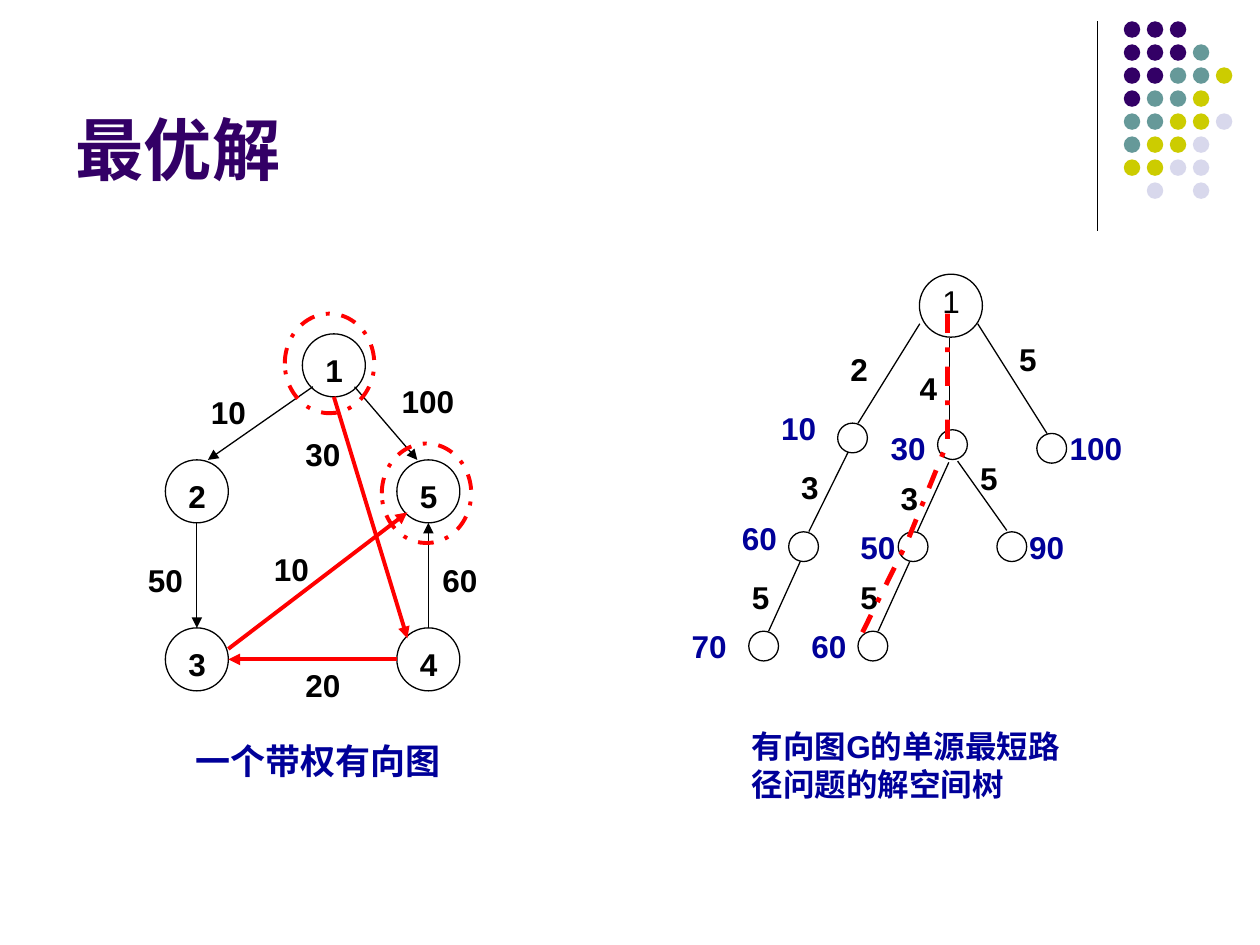
from lxml import etree
from pptx import Presentation
from pptx import util as u
from pptx.dml.color import RGBColor
from pptx.enum import dml, shapes, text
from pptx.oxml.ns import qn

BLACK, RED, BLUE, PURPLE = "000000", "FF0000", "000099", "330066"
DOT_COLOURS = {"P": PURPLE, "T": "669999", "Y": "CCCC00", "L": "D8D8EC"}
DOT_ROWS = ["PPP", "PPPT", "PPTTY", "PTTY", "TTYYL", "TYYL", "YYLL", " L L"]
DOT_PITCH = 13.15
NODE, LEAF = 36, 17
LABEL_HEIGHT = 28.8

# Centres of the graph nodes
GRAPH_NODES = {"1": (190.8, 208.8), "2": (112.5, 280.8), "3": (112.5, 376.8),
               "4": (244.8, 376.8), "5": (244.8, 280.8)}
GRAPH_EDGES = [
    ((178.8, 221), (118.8, 262.8), BLACK), ((190.8, 226.8), (232.8, 364.8), RED),
    ((202.6, 221), (238.5, 262.8), BLACK), ((244.8, 358.8), (244.8, 298.8), BLACK),
    ((112.5, 298.8), (112.5, 358.8), BLACK), ((130.5, 370.8), (232.8, 292.8), RED),
    ((226.8, 376.8), (130.5, 376.8), RED)]
# Text, left, top, width
GRAPH_WEIGHTS = [
    ("100", 220.5, 214.5, 48), ("10", 112.5, 221, 36), ("50", 76.5, 316.8, 36),
    ("10", 148.5, 310.8, 36), ("30", 166.5, 244.8, 36), ("60", 244.8, 316.8, 36),
    ("20", 166.5, 376.8, 36)]

TREE_LEAVES = [(487.2, 250.3), (601, 256.2), (459.2, 312.4), (544.3, 254.1),
               (521.8, 312.4), (578.2, 312.4), (498.8, 369.2), (436.4, 369.2)]
TREE_EDGES = [
    ((525.6, 185), (490.3, 241.9)), ((558.7, 185), (598.3, 247.7)),
    ((484.6, 258.5), (462.2, 303.8)), ((542.4, 193), (542.4, 244.1)),
    ((547.2, 263.5), (575.3, 303.1)), ((542.2, 264.2), (524.2, 303.8)),
    ((519.8, 321.1), (501.8, 360.7)), ((457.2, 321.1), (439.2, 360.7))]
TREE_WEIGHTS = [("2", 478.8, 196.6), ("5", 575.3, 190.8), ("5", 484.6, 326.9),
                ("5", 422.6, 326.9), ("4", 518.4, 207.4), ("3", 507.6, 270),
                ("3", 450.7, 264.2), ("5", 553, 258.5)]
TREE_COSTS = [("10", 439.2, 230.4), ("100", 604.1, 241.9), ("60", 416.9, 293),
              ("70", 388.1, 355), ("60", 456.5, 355), ("50", 484.6, 298.1),
              ("90", 581, 298.1), ("30", 501.8, 241.9)]
BEST_PATH = [(541.4, 179.3), (541.4, 252.7), (518.4, 309.6), (490.3, 366.5)]


def rgb(hex_colour):
    return RGBColor.from_string(hex_colour)


def set_line(line, colour, width, dash=None):
    line.color.rgb = rgb(colour)
    line.width = u.Pt(width)
    if dash:
        line.dash_style = dash


def add_run(paragraph, wording, size, colour, bold=True):
    run = paragraph.add_run()
    run.text = wording
    run.font.name = "Arial"
    run.font.size = u.Pt(size)
    run.font.bold = bold
    run.font.color.rgb = rgb(colour)


def add_oval(slide, centre, width, height=None, fill=None, line=BLACK,
             line_width=0.75, dash=None):
    height = height or width
    x, y = centre
    oval = slide.shapes.add_shape(
        shapes.MSO_SHAPE.OVAL, u.Pt(x - width / 2), u.Pt(y - height / 2),
        u.Pt(width), u.Pt(height))
    oval.shadow.inherit = False
    if fill:
        oval.fill.solid()
        oval.fill.fore_color.rgb = rgb(fill)
        oval.line.fill.background()
    else:
        oval.fill.background()
        set_line(oval.line, line, line_width, dash)


def add_line(slide, start, end, colour=BLACK, arrow=False):
    connector = slide.shapes.add_connector(
        shapes.MSO_CONNECTOR.STRAIGHT, *(u.Pt(value) for value in start + end))
    set_line(connector.line, colour, 2.25 if colour == RED else 0.75)
    if arrow:
        etree.SubElement(connector.line._get_or_add_ln(), qn("a:tailEnd"),
                         type="triangle")
    etree.SubElement(connector._element.spPr, qn("a:effectLst"))


def add_label(slide, wording, left, top, width, height=LABEL_HEIGHT, size=18,
              colour=BLACK, bold=True, centred=False):
    box = slide.shapes.add_textbox(*(u.Pt(v) for v in (left, top, width, height)))
    box.text_frame.word_wrap = True
    paragraph = box.text_frame.paragraphs[0]
    if centred:
        paragraph.alignment = text.PP_ALIGN.CENTER
    add_run(paragraph, wording, size, colour, bold)


def add_title(slide, wording):
    title = slide.shapes.title
    title.left, title.top = u.Pt(36), u.Pt(9.4)
    title.width, title.height = u.Pt(594), u.Pt(102.2)
    frame = title.text_frame
    frame.auto_size = text.MSO_AUTO_SIZE.NONE
    frame.vertical_anchor = text.MSO_ANCHOR.BOTTOM
    paragraph = frame.paragraphs[0]
    paragraph.alignment = text.PP_ALIGN.LEFT
    add_run(paragraph, wording, 39, PURPLE)


def add_decoration(slide):
    add_line(slide, (627.1, 12.2), (627.1, 131.8))
    for row, letters in enumerate(DOT_ROWS):
        for column, letter in enumerate(letters):
            if letter in DOT_COLOURS:
                centre = (646.9 + column * DOT_PITCH, 16.9 + row * DOT_PITCH)
                add_oval(slide, centre, 9.4, fill=DOT_COLOURS[letter])


def add_tree(slide):
    root = (543.4, 174.7)
    add_oval(slide, root, NODE)
    add_label(slide, "1", root[0] - 12, root[1] - 17, 30.2, bold=False)
    for start, end in TREE_EDGES:
        add_line(slide, start, end)
    for centre in TREE_LEAVES:
        add_oval(slide, centre, LEAF)
    for wording, left, top in TREE_WEIGHTS:
        add_label(slide, wording, left, top, 30.2)
    for wording, left, top in TREE_COSTS:
        width = 51.1 if len(wording) == 3 else 39.6
        add_label(slide, wording, left, top, width, colour=BLUE)
    add_label(slide, "有向图G的单源最短路径问题的解空间树",
              422.6, 411.8, 193, 50.4, colour=BLUE)


def add_graph(slide):
    for wording, (x, y) in GRAPH_NODES.items():
        add_oval(slide, (x, y), NODE)
        add_label(slide, wording, x - 12, y - 12, 30.2)
    for start, end, colour in GRAPH_EDGES:
        add_line(slide, start, end, colour, arrow=True)
    for wording, left, top, width in GRAPH_WEIGHTS:
        add_label(slide, wording, left, top, width, centred=True)
    add_label(slide, "一个带权有向图", 76.5, 419, 210.2, 31, size=20,
              colour=BLUE, centred=True)
    for centre in ((243.7, 281.9), (188.3, 207.7)):
        add_oval(slide, centre, 51.1, 56.9, line=RED, line_width=2.25,
                 dash=dml.MSO_LINE.DASH_DOT)


def add_best_path(slide):
    points = [(u.Pt(x), u.Pt(y)) for x, y in BEST_PATH]
    builder = slide.shapes.build_freeform(*points[0])
    builder.add_line_segments(points[1:], close=False)
    route = builder.convert_to_shape()
    route.shadow.inherit = False
    route.fill.background()
    set_line(route.line, RED, 2.75, dml.MSO_LINE.DASH_DOT)


def main():
    presentation = Presentation()
    presentation.slide_width, presentation.slide_height = u.Pt(720), u.Pt(540)
    slide = presentation.slides.add_slide(presentation.slide_layouts[5])
    add_decoration(slide)
    add_title(slide, "最优解")
    add_tree(slide)
    add_graph(slide)
    add_best_path(slide)
    presentation.save("out.pptx")


if __name__ == "__main__":
    main()
